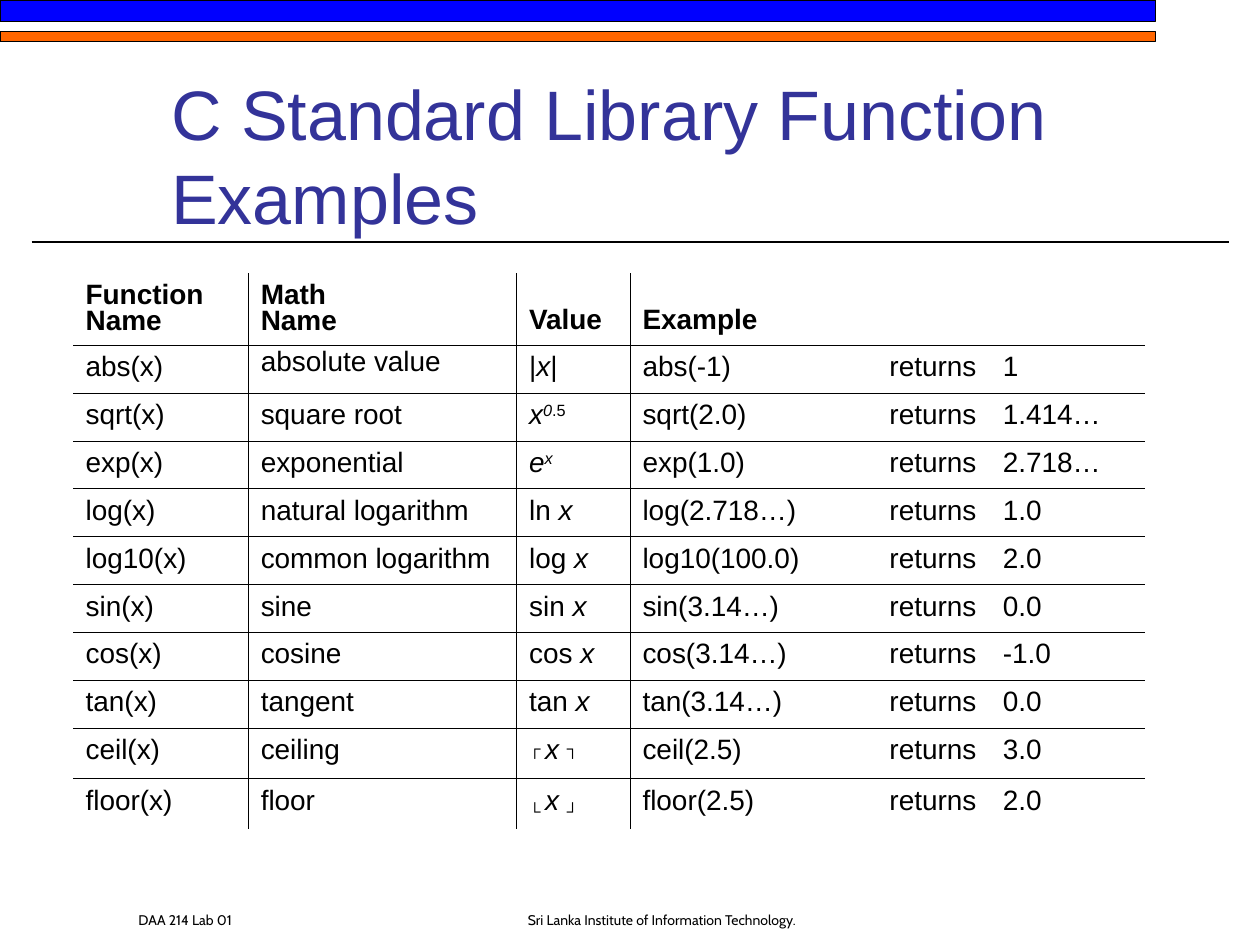
from lxml.etree import SubElement
from pptx import Presentation
from pptx.dml.color import RGBColor
from pptx.enum.shapes import MSO_CONNECTOR, MSO_SHAPE
from pptx.enum.text import MSO_ANCHOR, MSO_AUTO_SIZE, PP_ALIGN
from pptx.oxml import parse_xml
from pptx.oxml.ns import nsdecls, qn
from pptx.util import Inches, Pt

WIDTHS = [1.39, 2.13, 0.9, 1.96, 0.9, 1.23]
HEIGHTS = [0.57] + [0.38] * 8 + [0.4] * 2
HEADS = [["Function", "Name"], ["Math", "Name"], ["Value"], ["Example"]]

# Value parts: text, italic, baseline shift in percent
X = ("x", True, 0)
ROWS = [
    ("abs(x)", "absolute value", [("|", False, 0), X, ("|", False, 0)], "abs(-1)", "1"),
    ("sqrt(x)", "square root", [X, ("0", True, 30), (".5", False, 30)], "sqrt(2.0)", "1.414…"),
    ("exp(x)", "exponential", [("e", True, 0), ("x", True, 30)], "exp(1.0)", "2.718…"),
    ("log(x)", "natural logarithm", [("ln ", False, 0), X], "log(2.718…)", "1.0"),
    ("log10(x)", "common logarithm", [("log ", False, 0), X], "log10(100.0)", "2.0"),
    ("sin(x)", "sine", [("sin ", False, 0), X], "sin(3.14…)", "0.0"),
    ("cos(x)", "cosine", [("cos ", False, 0), X], "cos(3.14…)", "-1.0"),
    ("tan(x)", "tangent", [("tan ", False, 0), X], "tan(3.14…)", "0.0"),
    ("ceil(x)", "ceiling",
     [("┌ ", False, 20), ("x ", True, 0), ("┐", False, 20)], "ceil(2.5)", "3.0"),
    ("floor(x)", "floor",
     [("└ ", False, -25), ("x ", True, 0), ("┘", False, -25)], "floor(2.5)", "2.0"),
]


def color(code):
    return RGBColor.from_string(code)


def write(para, text, font="Arial", size=16, ink="000000", bold=False, italic=False, shift=0):
    run = para.add_run()
    run.text = text
    run.font.name = font
    run.font.size = Pt(size)
    run.font.bold = bold
    run.font.italic = italic
    run.font.color.rgb = color(ink)
    if shift:
        run.font._element.set("baseline", str(shift * 1000))


class Deck:
    ink = "000000"
    blue = "0000FF"
    orange = "FF6600"
    head = "333399"
    rule = 0.45

    def __init__(self):
        self.prs = Presentation()
        self.prs.slide_width = Inches(10)
        self.prs.slide_height = Inches(7.5)
        self.slide = self.prs.slides.add_slide(self.prs.slide_layouts[5])

    def bar(self, top, height, fill):
        shape = self.slide.shapes.add_shape(
            MSO_SHAPE.RECTANGLE, 0, Inches(top), Inches(9.17), Inches(height))
        shape.shadow.inherit = False
        shape.fill.solid()
        shape.fill.fore_color.rgb = color(fill)
        shape.line.color.rgb = color(self.ink)
        shape.line.width = Pt(0.75)

    def line(self, left, right, y):
        line = self.slide.shapes.add_connector(
            MSO_CONNECTOR.STRAIGHT, Inches(left), Inches(y), Inches(right), Inches(y))
        line.line.color.rgb = color(self.ink)
        line.line.width = Pt(1.5)
        SubElement(line._element.spPr, qn("a:effectLst"))

    def title(self, text):
        box = self.slide.shapes.title
        box.left, box.top = Inches(1.26), Inches(0.67)
        box.width, box.height = Inches(8.52), Inches(1.25)
        frame = box.text_frame
        frame.auto_size = MSO_AUTO_SIZE.NONE
        frame.vertical_anchor = MSO_ANCHOR.BOTTOM
        frame.margin_bottom = Inches(0.03)
        para = frame.paragraphs[0]
        para.alignment = PP_ALIGN.LEFT
        para.line_spacing = Pt(48)
        write(para, text, size=40, ink=self.head)

    def foot(self, text, left, width, align):
        box = self.slide.shapes.add_textbox(
            Inches(left), Inches(6.92), Inches(width), Inches(0.5))
        frame = box.text_frame
        frame.word_wrap = True
        frame.vertical_anchor = MSO_ANCHOR.BOTTOM
        frame.paragraphs[0].alignment = align
        write(frame.paragraphs[0], text, font="Cabin", size=8)

    def edge(self, cell, sides):
        cell.fill.background()
        props = cell._tc.get_or_add_tcPr()
        for spot, side in enumerate("LRTB"):
            fill = "<a:noFill/>"
            if side in sides:
                fill = f'<a:solidFill><a:srgbClr val="{self.ink}"/></a:solidFill>'
            props.insert(spot, parse_xml(
                f'<a:ln{side} {nsdecls("a")} w="{Pt(self.rule)}">{fill}</a:ln{side}>'))

    def table(self, left, top):
        grid = self.slide.shapes.add_table(
            len(HEIGHTS), len(WIDTHS), Inches(left), Inches(top),
            Inches(sum(WIDTHS)), Inches(sum(HEIGHTS))).table
        grid.first_row = grid.horz_banding = False
        for col, width in zip(grid.columns, WIDTHS):
            col.width = Inches(width)
        for row, height in zip(grid.rows, HEIGHTS):
            row.height = Inches(height)

        # Inner rules only; none between the three example columns
        last = len(HEIGHTS) - 1
        for r in range(last + 1):
            for c in range(len(WIDTHS)):
                sides = ("L" if 1 <= c <= 3 else "") + ("R" if c < 3 else "")
                sides += ("T" if r else "") + ("B" if r < last else "")
                self.edge(grid.cell(r, c), sides)

        # Header
        grid.cell(0, 3).merge(grid.cell(0, 5))
        for c, words in enumerate(HEADS):
            cell = grid.cell(0, c)
            frame = cell.text_frame
            write(frame.paragraphs[0], words[0], bold=True)
            for word in words[1:]:
                para = frame.add_paragraph()
                para.line_spacing = 0.5
                para.space_before = Pt(4)
                write(para, word, bold=True)
            if len(words) == 1:
                cell.vertical_anchor = MSO_ANCHOR.BOTTOM
                cell.margin_bottom = Inches(0.08)

        # Body
        for r, (name, term, value, call, result) in enumerate(ROWS, 1):
            for c, item in enumerate([name, term, value, call, "returns", result]):
                para = grid.cell(r, c).text_frame.paragraphs[0]
                parts = [(item, False, 0)] if isinstance(item, str) else item
                for text, italic, shift in parts:
                    write(para, text, italic=italic, shift=shift)
        grid.cell(1, 1).text_frame.paragraphs[0].line_spacing = 0.8


def main():
    deck = Deck()
    deck.bar(0, 0.17, deck.blue)
    deck.bar(0.25, 0.08, deck.orange)
    deck.line(0.25, 9.75, 1.92)
    deck.title("C Standard Library Function Examples")
    deck.table(0.58, 2.17)
    deck.foot("DAA 214 Lab 01", 1, 2.08, PP_ALIGN.LEFT)
    deck.foot("Sri Lanka Institute of Information Technology.", 3.67, 3.17, PP_ALIGN.CENTER)
    deck.prs.save("out.pptx")


if __name__ == "__main__":
    main()
